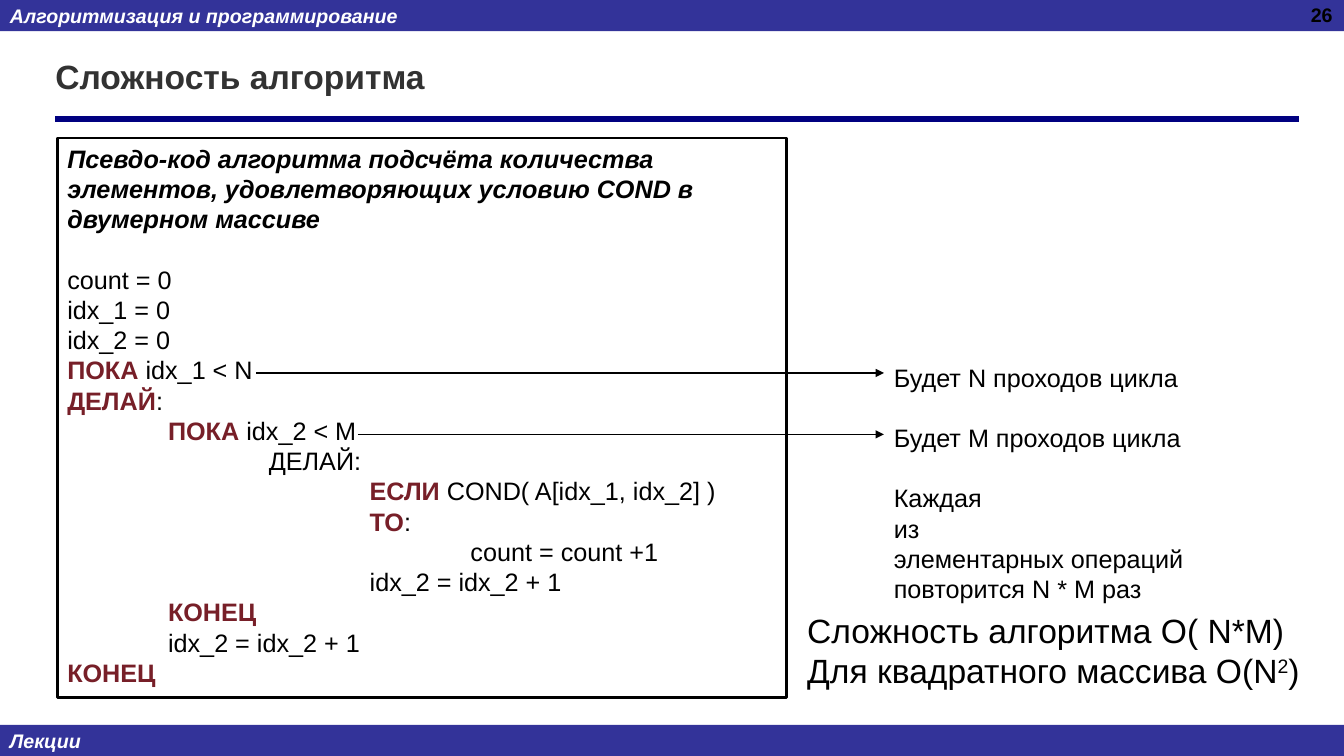
from pptx import Presentation
from pptx import util as u
from pptx.dml.color import RGBColor
from pptx.enum import shapes, text
from pptx.oxml import parse_xml
from pptx.oxml.ns import nsdecls

Pt = u.Pt
COLORS = {"bar": "333399", "rule": "000080", "title": "323232", "key": "771F28",
          "black": "000000", "white": "FFFFFF"}
WIDTH, HEIGHT = 960, 540
BAR_H = 22.3
INDENT = 72
BLANK_LINE = 21.6

CODE = [
    (0, "", "count = 0"),
    (0, "", "idx_1 = 0"),
    (0, "", "idx_2 = 0"),
    (0, "ПОКА ", "idx_1 < N"),
    (0, "ДЕЛАЙ", ":"),
    (1, "ПОКА ", "idx_2 < M"),
    (2, "", "ДЕЛАЙ:"),
    (3, "ЕСЛИ ", "COND( A[idx_1, idx_2] )"),
    (3, "ТО", ":"),
    (4, "", "count = count +1"),
    (3, "", "idx_2 = idx_2 + 1"),
    (1, "КОНЕЦ", ""),
    (1, "", "idx_2 = idx_2 + 1"),
    (0, "КОНЕЦ", ""),
]
NOTES = [
    ["Будет N проходов цикла"],
    ["Будет M проходов цикла"],
    ["Каждая", "из", "элементарных операций", "повторится N * M раз"],
]


def color(name):
    return RGBColor.from_string(COLORS[name])


def style(font, size, name="black", bold=False, italic=False):
    font.name, font.size = "Arial", Pt(size)
    font.bold, font.italic = bold, italic
    font.color.rgb = color(name)


def add_paragraph(tf, content=""):
    p = tf.paragraphs[0]
    if p.runs:
        p = tf.add_paragraph()
    p.alignment = text.PP_ALIGN.LEFT
    if content:
        p.add_run().text = content
    return p


def text_box(s, box, anchor=text.MSO_ANCHOR.TOP):
    tf = s.shapes.add_textbox(*map(Pt, box)).text_frame
    tf.word_wrap = True
    tf.vertical_anchor = anchor
    return tf


def rectangle(s, box, fill, anchor, line=None):
    sp = s.shapes.add_shape(shapes.MSO_SHAPE.RECTANGLE, *map(Pt, box))
    sp.shadow.inherit = False
    sp.fill.solid()
    sp.fill.fore_color.rgb = color(fill)
    if line:
        sp.line.color.rgb = color(line)
        sp.line.width = Pt(2)
    else:
        sp.line.fill.background()
    tf = sp.text_frame
    tf.word_wrap = True
    tf.vertical_anchor = anchor
    return tf


def connector(s, x1, x2, y, name, width, arrow=False):
    c = s.shapes.add_connector(shapes.MSO_CONNECTOR.STRAIGHT, Pt(x1), Pt(y), Pt(x2), Pt(y))
    c.line.color.rgb = color(name)
    c.line.width = Pt(width)
    sp_pr = c._element.spPr
    if arrow:
        sp_pr.ln.append(parse_xml(f'<a:tailEnd {nsdecls("a")} type="triangle"/>'))
    sp_pr.append(parse_xml(f'<a:effectLst {nsdecls("a")}/>'))


def bar(s, y, label):
    tf = rectangle(s, (0, y, WIDTH, BAR_H), "bar", text.MSO_ANCHOR.MIDDLE)
    style(add_paragraph(tf, label).font, 14, "white", True, True)


def header(s, box, title, number):
    x, y, w, h = box
    connector(s, x + 7.2, x + w + 16.3, y + h, "rule", 4.5)
    tf = text_box(s, box, text.MSO_ANCHOR.MIDDLE)
    style(add_paragraph(tf, title).font, 24, "title", True)
    p = add_paragraph(text_box(s, (WIDTH - 225, -1.4, 224, 37.4)), number)
    p.alignment = text.PP_ALIGN.RIGHT
    style(p.font, 14, bold=True)


def pseudocode(s, box, heading):
    tf = rectangle(s, box, "white", text.MSO_ANCHOR.TOP, "black")
    style(add_paragraph(tf, heading).font, 18, bold=True, italic=True)
    for i, (level, keyword, rest) in enumerate(CODE):
        p = add_paragraph(tf, keyword)
        if i == 0:
            p.space_before = Pt(BLANK_LINE)
        p._p.get_or_add_pPr().set("marL", str(int(Pt(level * INDENT))))
        style(p.font, 18)
        if keyword:
            style(p.runs[0].font, 18, "key", True)
        if rest:
            p.add_run().text = rest


def loop_notes(s, box):
    x, y = box[:2]
    tf = text_box(s, box)
    for i, group in enumerate(NOTES):
        for j, line in enumerate(group):
            p = add_paragraph(tf, line)
            if i and j == 0:
                p.space_before = Pt(BLANK_LINE)
            style(p.font, 18)
    for start, dy in ((182.9, 11.5), (255.6, 55.4)):
        connector(s, start, x, y + dy, "black", 1, True)


def conclusion(s, box):
    tf = text_box(s, box)
    style(add_paragraph(tf, "Сложность алгоритма O( N*M)").font, 24)
    p = add_paragraph(tf, "Для квадратного массива O(N")
    style(p.font, 24)
    r = p.add_run()
    r.text = "2"
    r.font._element.set("baseline", "30000")
    p.add_run().text = ")"


def main():
    prs = Presentation()
    prs.slide_width, prs.slide_height = Pt(WIDTH), Pt(HEIGHT)
    s = prs.slides.add_slide(prs.slide_layouts[6])
    bar(s, 0, "Алгоритмизация и программирование")
    bar(s, HEIGHT - BAR_H, "Лекции")
    header(s, (32.4, 23.8, 879.1, 61.2), "Сложность алгоритма", "26")
    pseudocode(s, (41, 98.6, 520.6, 399.6),
               "Псевдо-код алгоритма подсчёта количества элементов, "
               "удовлетворяющих условию COND в двумерном массиве")
    loop_notes(s, (631.4, 254.9, 265, 181.4))
    conclusion(s, (569.5, 432, 383, 65.5))
    prs.save("out.pptx")


if __name__ == "__main__":
    main()
